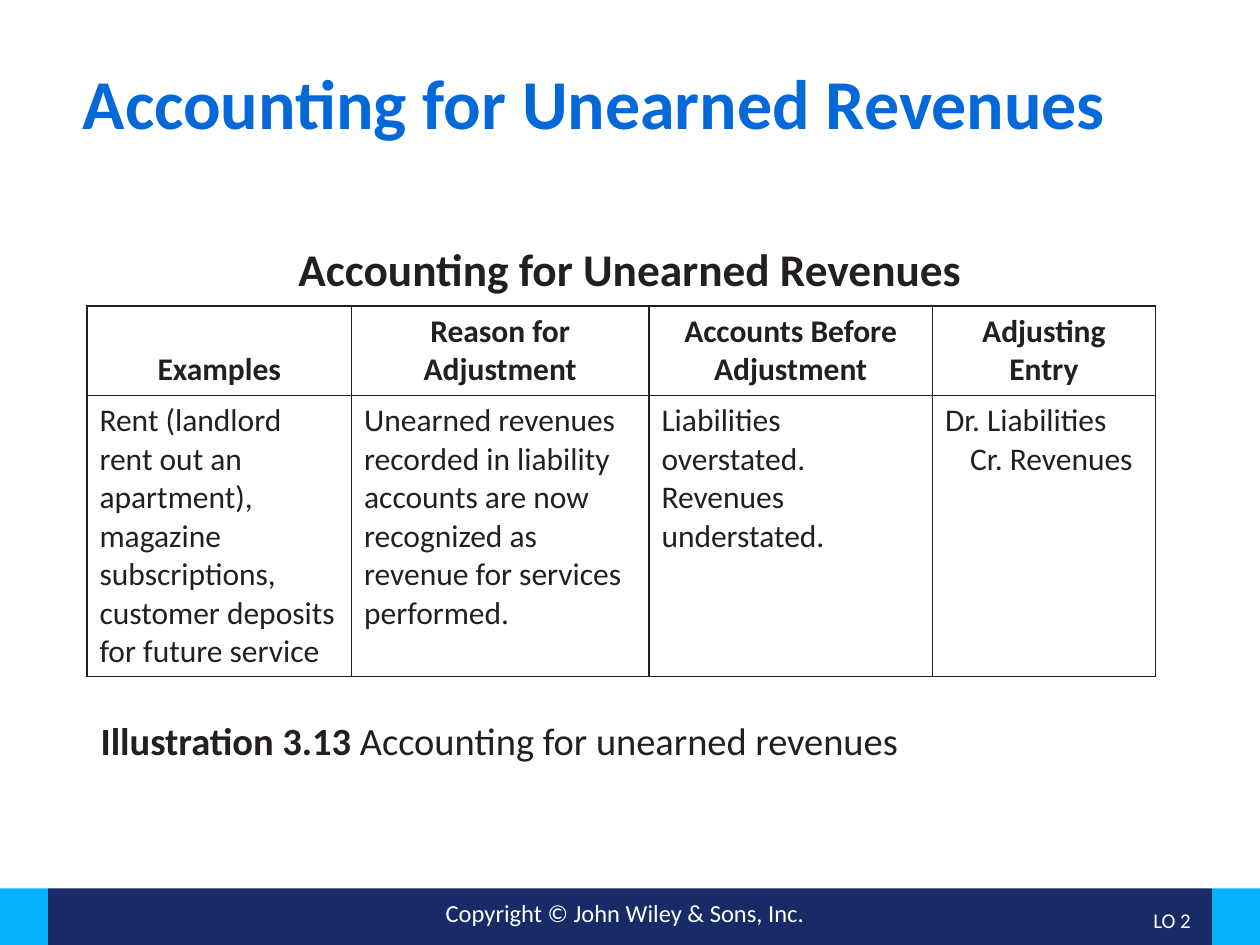
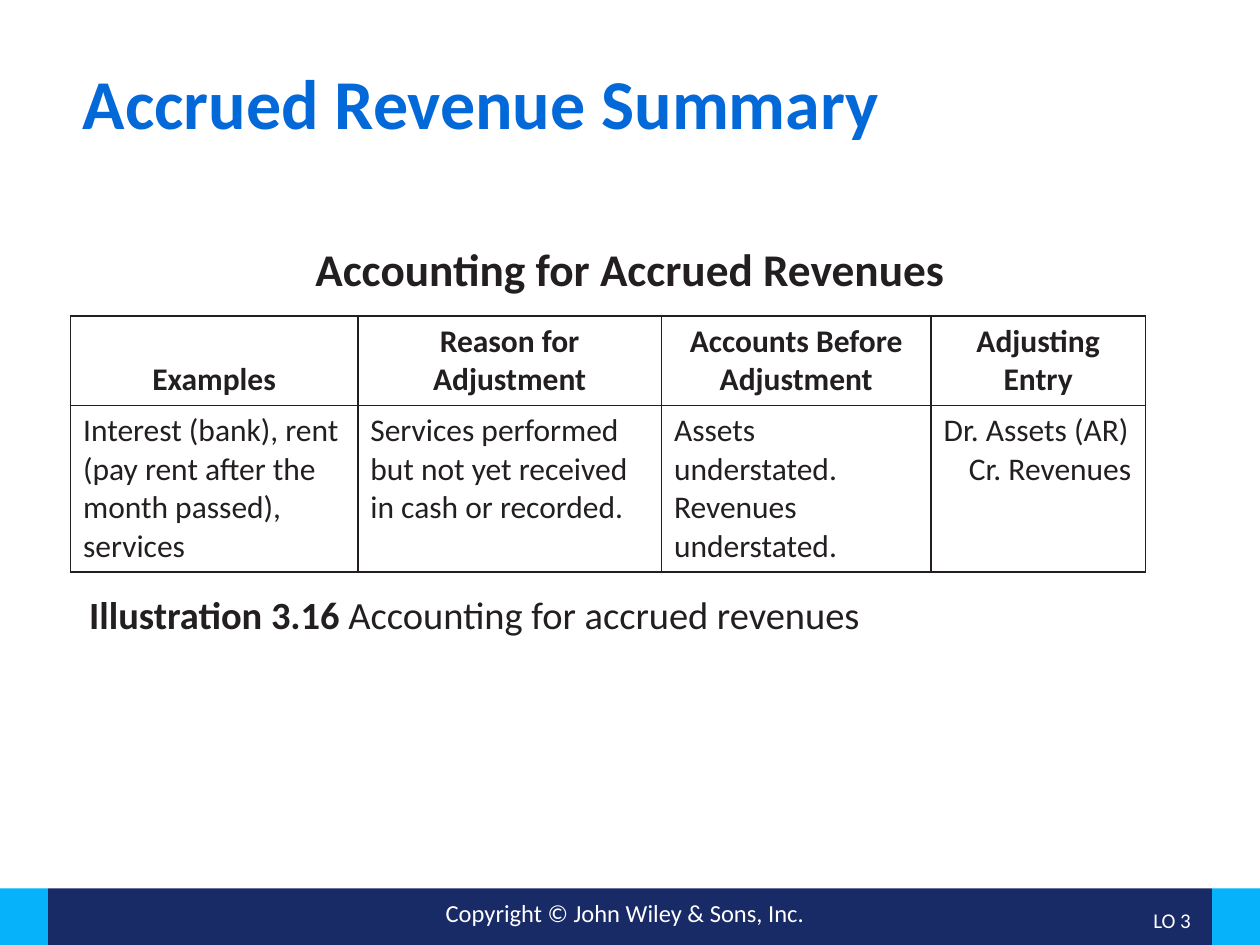
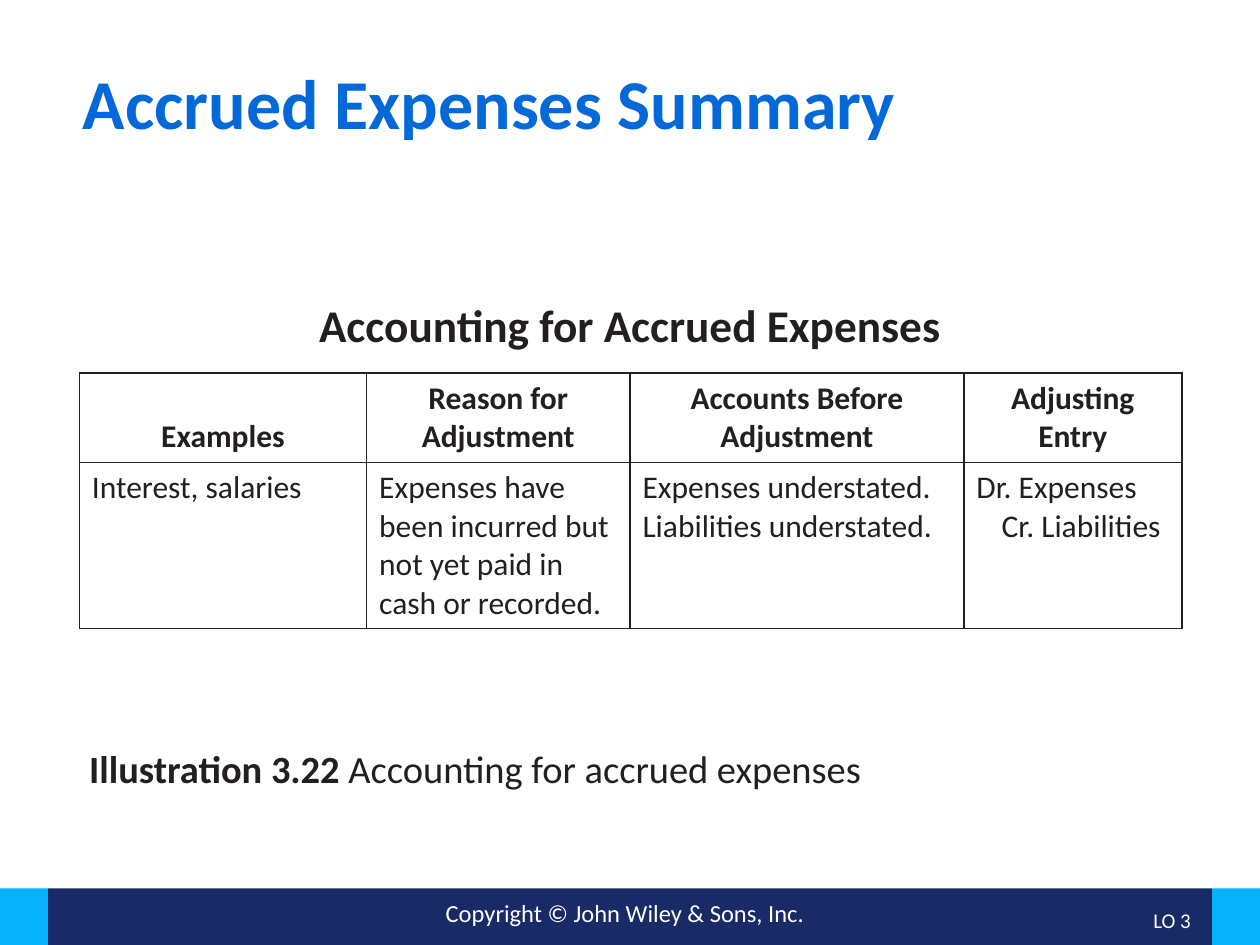
from dataclasses import dataclass

from lxml import etree
from pptx import Presentation
from pptx.dml.color import RGBColor
from pptx.enum import shapes, text
from pptx.oxml import ns
from pptx.util import Inches, Pt

COLOURS = {"title": "0469D8", "ink": "231F20", "navy": "192B67",
           "sky": "06B2FA", "white": "FFFFFF"}
FONT = "Calibri"
SLIDE_WIDTH, SLIDE_HEIGHT = 10, 7.5
HEADINGS = ["Examples", "Reason for Adjustment",
            "Accounts Before Adjustment", "Adjusting Entry"]
HEADING_HEIGHT = 0.71
CREDIT_INDENT = 0.2
TITLE_BOX = (0.56, 0.5, 8.88, 0.93)
FOOTER_BOX = (0, 7.05, SLIDE_WIDTH, 0.45)


@dataclass
class Summary:
    title: str
    heading: str
    heading_top: float
    table_at: tuple
    columns: list
    body_height: float
    answers: list  # one list of lines per cell
    caption_at: tuple
    number: str
    caption: str
    objective: str


SUMMARIES = [
    Summary(
        "Accounting for Unearned Revenues", "Accounting for Unearned Revenues", 1.91,
        (0.69, 2.43), [2.1, 2.36, 2.25, 1.77], 2.23,
        [["Rent (landlord rent out an apartment), magazine subscriptions, "
          "customer deposits for future service"],
         ["Unearned revenues recorded in liability accounts are now "
          "recognized as revenue for services performed."],
         ["Liabilities overstated. Revenues understated."],
         ["Dr. Liabilities", "Cr. Revenues"]],
        (0.7, 5.64), "3.13", "Accounting for unearned revenues", "LO 2"),
    Summary(
        "Accrued Revenue Summary", "Accounting for Accrued Revenues", 1.91,
        (0.56, 2.51), [2.28, 2.41, 2.14, 1.7], 1.32,
        [["Interest (bank), rent (pay rent after the month passed), services"],
         ["Services performed but not yet received in cash or recorded."],
         ["Assets understated. Revenues understated."],
         ["Dr. Assets (AR)", "Cr. Revenues"]],
        (0.61, 4.64), "3.16", "Accounting for accrued revenues", "LO 3"),
    Summary(
        "Accrued Expenses Summary", "Accounting for Accrued Expenses", 2.36,
        (0.63, 2.96), [2.28, 2.09, 2.65, 1.73], 1.32,
        [["Interest, salaries"],
         ["Expenses have been incurred but not yet paid in cash or recorded."],
         ["Expenses understated.", "Liabilities understated."],
         ["Dr. Expenses", "Cr. Liabilities"]],
        (0.61, 5.86), "3.22", "Accounting for accrued expenses", "LO 3"),
]


def colour(name):
    return RGBColor.from_string(COLOURS[name])


def add_span(para, words, size, ink="ink", bold=False):
    span = para.add_run()
    span.text = words
    span.font.name = FONT
    span.font.size = Pt(size)
    span.font.bold = bold
    span.font.color.rgb = colour(ink)


def add_text(page, box, spans, align=text.PP_ALIGN.LEFT,
             anchor=text.MSO_ANCHOR.TOP, line_spacing=1.0):
    """Add a one-paragraph text box; each span is (words, size, ink, bold)."""
    frame = page.shapes.add_textbox(*map(Inches, box)).text_frame
    frame.word_wrap = True
    frame.vertical_anchor = anchor
    para = frame.paragraphs[0]
    para.alignment = align
    para.line_spacing = line_spacing
    for span in spans:
        add_span(para, *span)


def add_band(page, box, fill):
    band = page.shapes.add_shape(shapes.MSO_SHAPE.RECTANGLE, *map(Inches, box))
    band.shadow.inherit = False
    band.fill.solid()
    band.fill.fore_color.rgb = colour(fill)
    band.line.fill.background()


def add_footer(page, box, objective):
    left, top, width, height = box
    end = 0.38
    add_band(page, (left + end, top, width - 2 * end, height), "navy")
    for end_left in (left, left + width - end):
        add_band(page, (end_left, top, end, height), "sky")
    add_text(page, (left + 2.5, top + 0.03, 4.92, 0.34),
             [("Copyright © John Wiley & Sons, Inc.", 14, "white")],
             text.PP_ALIGN.CENTER)
    add_text(page, (left + 8.73, top + 0.05, 0.82, 0.4),
             [(objective, 12, "white")], text.PP_ALIGN.RIGHT,
             text.MSO_ANCHOR.MIDDLE)


def add_borders(cell):
    properties = cell._tc.get_or_add_tcPr()
    for position, side in enumerate(("lnL", "lnR", "lnT", "lnB")):
        line = etree.Element(ns.qn(f"a:{side}"), w=str(Pt(1)))
        fill = etree.SubElement(line, ns.qn("a:solidFill"))
        etree.SubElement(fill, ns.qn("a:srgbClr"), val=COLOURS["ink"])
        properties.insert(position, line)


def fill_cell(cell, lines, is_heading):
    cell.fill.background()
    add_borders(cell)
    frame = cell.text_frame
    if is_heading:
        cell.vertical_anchor = text.MSO_ANCHOR.BOTTOM
    for index, words in enumerate(lines):
        para = frame.add_paragraph() if index else frame.paragraphs[0]
        if is_heading:
            para.alignment = text.PP_ALIGN.CENTER
        if words.startswith("Cr."):
            para._p.get_or_add_pPr().set("marL", str(Inches(CREDIT_INDENT)))
        add_span(para, words, 18, bold=is_heading)


def add_adjustment_table(page, box, columns, answers):
    left, top, width, height = box
    table = page.shapes.add_table(2, len(columns), *map(Inches, box)).table
    table.first_row = table.horz_banding = False
    for column, column_width in zip(table.columns, columns):
        column.width = Inches(column_width)
    table.rows[0].height = Inches(HEADING_HEIGHT)
    table.rows[1].height = Inches(height - HEADING_HEIGHT)
    for index, (heading, answer) in enumerate(zip(HEADINGS, answers)):
        fill_cell(table.cell(0, index), [heading], True)
        fill_cell(table.cell(1, index), answer, False)


def add_summary_slide(deck, summary):
    page = deck.slides.add_slide(deck.slide_layouts[6])
    left, _, width, _ = TITLE_BOX
    add_footer(page, FOOTER_BOX, summary.objective)
    add_text(page, TITLE_BOX, [(summary.title, 40, "title", True)],
             line_spacing=0.9)
    add_text(page, (left, summary.heading_top, width, 0.51),
             [(summary.heading, 25.9, "ink", True)],
             text.PP_ALIGN.CENTER, line_spacing=0.9)
    table_box = (*summary.table_at, sum(summary.columns),
                 HEADING_HEIGHT + summary.body_height)
    add_adjustment_table(page, table_box, summary.columns, summary.answers)
    add_text(page, (*summary.caption_at, 8.79, 0.51),
             [(f"Illustration {summary.number} ", 22, "ink", True),
              (summary.caption, 22)])


def main():
    deck = Presentation()
    deck.slide_width = Inches(SLIDE_WIDTH)
    deck.slide_height = Inches(SLIDE_HEIGHT)
    for summary in SUMMARIES:
        add_summary_slide(deck, summary)
    deck.save("out.pptx")


if __name__ == "__main__":
    main()
